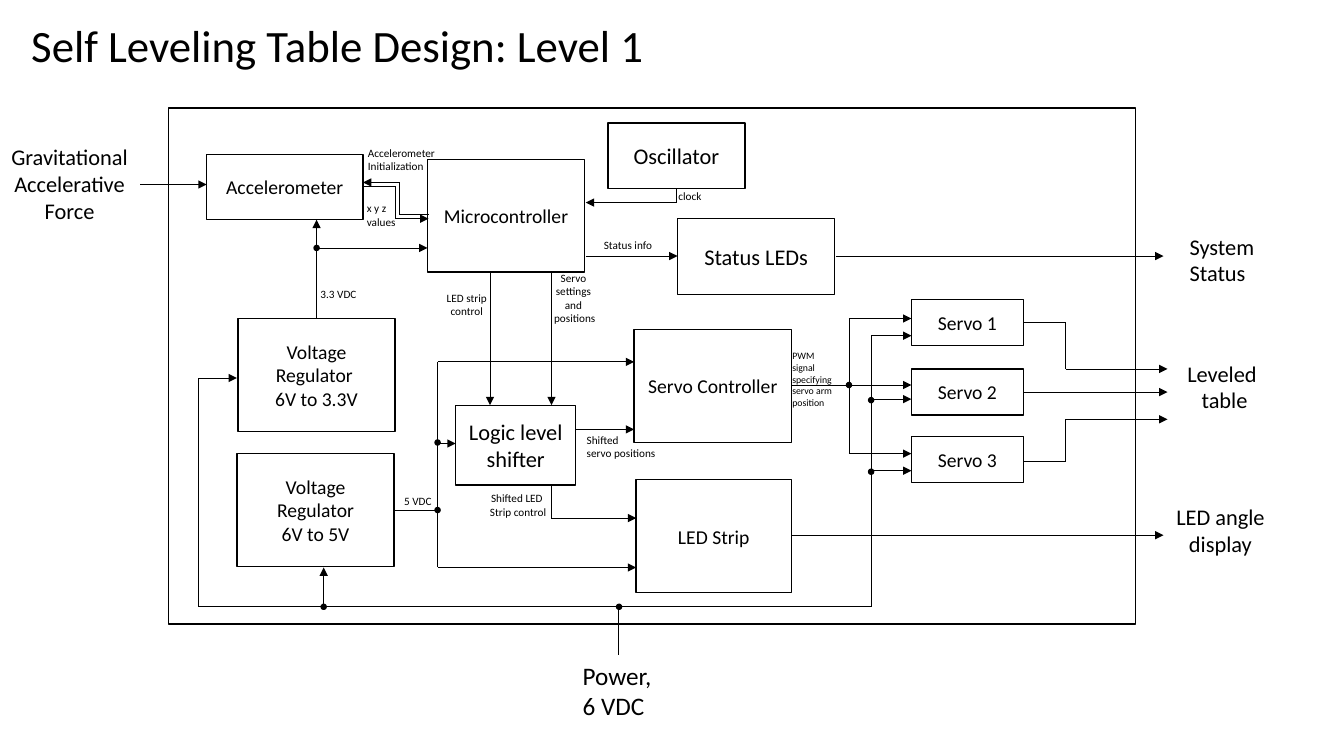
"""Block diagram of the self leveling table, level 1."""
from itertools import pairwise

from lxml import etree
from pptx import Presentation
from pptx import util as u
from pptx.dml.color import RGBColor
from pptx.enum import shapes, text
from pptx.oxml import ns

COLORS = {"ink": "000000", "paper": "FFFFFF"}
LEFT, CENTER = text.PP_ALIGN.LEFT, text.PP_ALIGN.CENTER

BLOCKS = [
    ("Microcontroller", 14, 4.24, 1.58, 1.56, 1.12),
    ("Servo Controller", 14, 6.29, 3.27, 1.56, 1.12),
    ("Voltage Regulator \n6V to 3.3V", 14, 2.36, 3.16, 1.56, 1.12),
    ("Voltage Regulator\n6V to 5V", 14, 2.35, 4.5, 1.56, 1.12),
    ("LED Strip", 14, 6.31, 4.76, 1.54, 1.12),
    ("Accelerometer", 14, 2.05, 1.53, 1.55, 0.65),
    ("Status LEDs", 16, 6.72, 2.17, 1.56, 0.75),
    ("Oscillator", 16, 6.03, 1.22, 1.36, 0.65),
    ("Logic level shifter", 16, 4.52, 4.02, 1.19, 0.79),
    ("Servo 1", 14, 9.04, 2.97, 1.11, 0.46),
    ("Servo 2", 14, 9.04, 3.66, 1.11, 0.46),
    ("Servo 3", 14, 9.04, 4.33, 1.11, 0.46),
]

ARROWS = [
    [(1.39, 1.83), (2.05, 1.83)],
    [(4.25, 2.13), (3.96, 2.13), (3.96, 1.81), (3.6, 1.81)],
    [(3.6, 1.85), (3.92, 1.85), (3.92, 2.17), (4.25, 2.17)],
    [(3.14, 3.16), (3.14, 2.18)],
    [(3.14, 2.46), (4.24, 2.46)],
    [(6.71, 1.87), (6.71, 2.01), (5.81, 2.01)],
    [(5.81, 2.54), (6.72, 2.54)],
    [(8.29, 2.54), (11.54, 2.54)],
    [(4.86, 2.7), (4.86, 4.02)],
    [(5.47, 2.7), (5.47, 4.02)],
    [(5.71, 4.26), (6.29, 4.26)],
    [(5.47, 4.81), (5.47, 5.14), (6.31, 5.14)],
    [(7.85, 5.31), (11.54, 5.31)],
    [(4.34, 5.06), (4.34, 3.59), (6.29, 3.59)],
    [(4.34, 5.06), (4.34, 5.63), (6.31, 5.63)],
    [(4.34, 4.4), (4.52, 4.4)],
    [(6.13, 6.02), (1.97, 6.02), (1.97, 3.75), (2.35, 3.75)],
    [(3.21, 6.02), (3.21, 5.63)],
    [(7.85, 3.82), (9.04, 3.82)],
    [(8.42, 3.82), (8.42, 3.16), (9.04, 3.16)],
    [(8.42, 3.82), (8.42, 4.5), (9.04, 4.5)],
    [(6.13, 6.02), (8.64, 6.02), (8.64, 3.33), (9.04, 3.33)],
    [(8.64, 3.96), (9.04, 3.96)],
    [(8.64, 4.67), (9.04, 4.67)],
    [(10.16, 3.2), (10.57, 3.2), (10.57, 3.66), (11.58, 3.66)],
    [(10.15, 3.89), (11.58, 3.89)],
    [(10.16, 4.58), (10.57, 4.58), (10.57, 4.16), (11.58, 4.16)],
]

PLAIN_WIRES = [
    [(3.92, 5.06), (4.34, 5.06)],
    [(6.13, 6.02), (6.13, 6.5)],
]

JUNCTIONS = [(3.21, 6.02), (6.14, 6.02), (8.64, 3.97), (8.42, 3.82),
             (4.34, 5.06), (4.34, 4.39), (8.64, 4.68), (3.14, 2.46)]

WRAPPED_LABELS = [
    ("Gravitational Accelerative Force", 16, CENTER, 0, 1.37, 1.38, 0.91),
    ("LED angle \vdisplay ", 16, CENTER, 11.43, 4.94, 1.4, 0.64),
    ("System Status", 16, LEFT, 11.7, 2.26, 1.08, 0.64),
    ("x y z\nvalues", 8, LEFT, 3.54, 1.95, 0.77, 0.37),
]

FREE_LABELS = [
    ("Power,\n6 VDC", 18, LEFT, 5.68, 6.5, 0.89, 0.71),
    ("Leveled \vtable", 16, CENTER, 11.67, 3.52, 0.95, 0.64),
    ("Accelerometer\nInitialization", 8, LEFT, 3.55, 1.4, 0.88, 0.37),
    ("LED strip\ncontrol", 8, CENTER, 4.33, 2.84, 0.6, 0.37),
    ("Servo \nsettings \nand \npositions", 8, CENTER, 5.39, 2.64, 0.62, 0.64),
    ("Shifted \vservo positions", 8, LEFT, 5.72, 4.25, 0.89, 0.37),
    ("Shifted LED \nStrip control", 8, CENTER, 4.76, 4.83, 0.76, 0.37),
    ("PWM \vsignal\nspecifying\nservo arm\nposition", 7, LEFT, 7.76, 3.42, 0.62, 0.69),
    ("5 VDC", 8, LEFT, 3.91, 4.86, 0.47, 0.24),
    ("3.3 VDC", 8, LEFT, 3.08, 2.8, 0.56, 0.24),
    ("Status info", 8, LEFT, 5.89, 2.32, 0.69, 0.24),
    ("clock", 8, LEFT, 6.63, 1.83, 0.43, 0.24),
]


class Diagram:
    def __init__(self, slide, font="Calibri"):
        self.slide = slide
        self.font = font

    def color(self, name):
        return RGBColor.from_string(COLORS[name])

    def fill_text(self, shape, words, size, align, anchor, wrap):
        frame = shape.text_frame
        frame.word_wrap = wrap
        frame.vertical_anchor = anchor
        for index, line in enumerate(words.split("\n")):
            paragraph = frame.add_paragraph() if index else frame.paragraphs[0]
            paragraph.alignment = align
            for part_index, part in enumerate(line.split("\v")):
                if part_index:
                    paragraph.add_line_break()
                run = paragraph.add_run()
                run.text = part
                run.font.name = self.font
                run.font.size = u.Pt(size)
                run.font.color.rgb = self.color("ink")

    def title(self, words, size, *box):
        shape = self.slide.shapes.title
        shape.left, shape.top, shape.width, shape.height = map(u.Inches, box)
        self.fill_text(shape, words, size, LEFT, text.MSO_ANCHOR.TOP, False)
        shape.text_frame.auto_size = text.MSO_AUTO_SIZE.NONE

    def outline(self, kind, box, fill=None):
        shape = self.slide.shapes.add_shape(kind, *map(u.Inches, box))
        shape.shadow.inherit = False
        if fill:
            shape.fill.solid()
            shape.fill.fore_color.rgb = self.color(fill)
        else:
            shape.fill.background()
        shape.line.color.rgb = self.color("ink")
        shape.line.width = u.Pt(1)
        return shape

    def frame(self, *box):
        self.outline(shapes.MSO_SHAPE.RECTANGLE, box)

    def block(self, words, size, *box):
        shape = self.outline(shapes.MSO_SHAPE.RECTANGLE, box, "paper")
        self.fill_text(shape, words, size, CENTER, text.MSO_ANCHOR.MIDDLE, True)

    def junction(self, x, y, size=0.05):
        box = (x - size / 2, y - size / 2, size, size)
        self.outline(shapes.MSO_SHAPE.OVAL, box, "ink")

    def label(self, words, size, align, *box, wrap):
        shape = self.slide.shapes.add_textbox(*map(u.Inches, box))
        self.fill_text(shape, words, size, align, text.MSO_ANCHOR.TOP, wrap)

    def wire(self, points, arrow):
        for start, end in pairwise(points):
            connector = self.slide.shapes.add_connector(
                shapes.MSO_CONNECTOR.STRAIGHT, *map(u.Inches, start + end))
            connector.line.color.rgb = self.color("ink")
            connector.line.width = u.Pt(0.5)
            etree.SubElement(connector._element.spPr, ns.qn("a:effectLst"))
        if arrow:
            line = connector.line._get_or_add_ln()
            etree.SubElement(line, ns.qn("a:tailEnd"), type="triangle")


def main():
    presentation = Presentation()
    presentation.slide_width = u.Inches(13.33)
    presentation.slide_height = u.Inches(7.5)
    diagram = Diagram(presentation.slides.add_slide(presentation.slide_layouts[5]))
    diagram.title("Self Leveling Table Design: Level 1", 32, 0.21, 0.13, 6.34, 0.64)
    diagram.frame(1.67, 1.07, 9.59, 5.12)
    for block in BLOCKS:
        diagram.block(*block)
    for points in ARROWS:
        diagram.wire(points, arrow=True)
    for points in PLAIN_WIRES:
        diagram.wire(points, arrow=False)
    for center in JUNCTIONS:
        diagram.junction(*center)
    for label in WRAPPED_LABELS:
        diagram.label(*label, wrap=True)
    for label in FREE_LABELS:
        diagram.label(*label, wrap=False)
    presentation.save("out.pptx")


if __name__ == "__main__":
    main()
